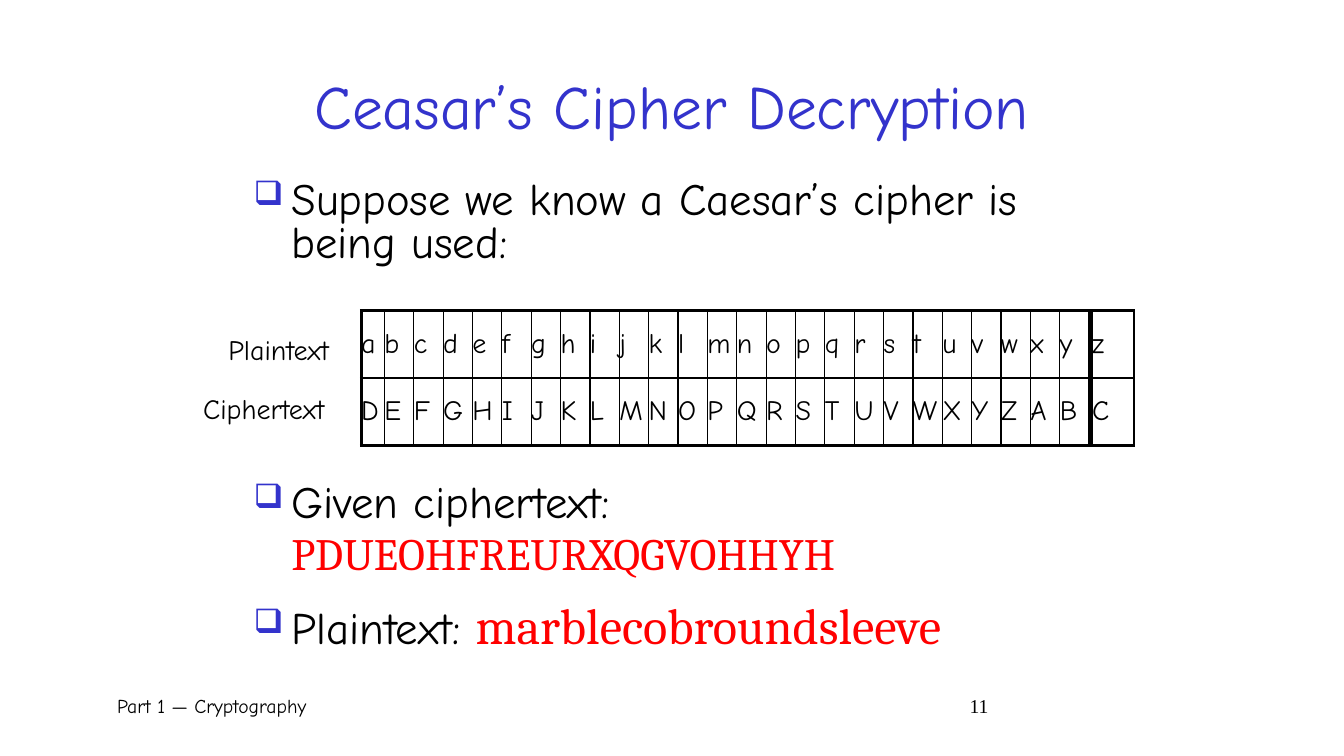
from dataclasses import dataclass

from lxml.etree import SubElement
from pptx import Presentation
from pptx.dml.color import RGBColor
from pptx.enum.text import MSO_ANCHOR as Anchor, PP_ALIGN as Align
from pptx.oxml.ns import qn
from pptx.util import Pt

BLACK, BLUE, RED = "000000", "3333CC", "FF0000"
COMIC, CAMBRIA, TIMES = "Comic Neue", "Cambria", "Times New Roman"
THIN, THICK = 1, 2.25
HANG = 27


@dataclass
class Span:
    text: str
    size: float
    font: str = COMIC
    color: str = BLACK


@dataclass
class Line:
    spans: list[Span]
    before: float = 0
    spacing: float = 1
    indent: float = 0
    bullet: bool = False
    tab: float = 0


@dataclass
class TextBlock:
    left: float
    top: float
    width: float
    height: float
    lines: list[Line]
    inset: float = 7.2


@dataclass
class LetterGrid:
    left: float
    widths: list[float]
    rows: list[str]


def set_font(font, span: Span) -> None:
    font.name, font.size = span.font, Pt(span.size)
    font.color.rgb = RGBColor.from_string(span.color)


def fill_paragraph(paragraph, line: Line) -> None:
    paragraph.line_spacing = line.spacing
    paragraph.space_before = Pt(line.before)
    properties = paragraph._p.get_or_add_pPr()
    if line.indent:
        properties.set("marL", str(Pt(line.indent)))
        properties.set("indent", str(-Pt(line.indent) if line.bullet else 0))
    if line.bullet:
        color = SubElement(properties, qn("a:buClr"))
        SubElement(color, qn("a:srgbClr"), val=BLUE)
        SubElement(properties, qn("a:buSzPct"), val="75000")
        SubElement(properties, qn("a:buChar"), char="❑")
    if line.tab:
        tabs = SubElement(properties, qn("a:tabLst"))
        SubElement(tabs, qn("a:tab"), pos=str(Pt(line.tab)), algn="l")
    if len(line.spans) == 1:
        set_font(paragraph.font, line.spans[0])
    for span in line.spans:
        run = paragraph.add_run()
        run.text = span.text
        if len(line.spans) > 1:
            set_font(run.font, span)


def draw_text(slide, block: TextBlock) -> None:
    shape = slide.shapes.add_textbox(
        Pt(block.left), Pt(block.top), Pt(block.width), Pt(block.height))
    frame = shape.text_frame
    frame.word_wrap = True
    frame.margin_left = Pt(block.inset)
    for index, line in enumerate(block.lines):
        paragraph = frame.add_paragraph() if index else frame.paragraphs[0]
        fill_paragraph(paragraph, line)


def set_border(cell, side: str, weight: float) -> None:
    border = SubElement(cell._tc.get_or_add_tcPr(), qn(f"a:ln{side}"), w=str(Pt(weight)))
    SubElement(SubElement(border, qn("a:solidFill")), qn("a:srgbClr"), val=BLACK)


def draw_grid(slide, grid: LetterGrid) -> None:
    row_count, column_count = len(grid.rows), len(grid.widths)
    table = slide.shapes.add_table(
        row_count, column_count, Pt(grid.left), Pt(222),
        Pt(sum(grid.widths)), Pt(48 * row_count)).table
    table.first_row = table.horz_banding = False
    for column, width in zip(table.columns, grid.widths):
        column.width = Pt(width)
    for row, letters in enumerate(grid.rows):
        for column, letter in enumerate(letters):
            cell = table.cell(row, column)
            cell.margin_left = cell.margin_right = 0
            cell.margin_top = cell.margin_bottom = 0
            cell.vertical_anchor = Anchor.MIDDLE
            fill_paragraph(cell.text_frame.paragraphs[0],
                           Line([Span(letter, 20)], before=4))
            # Heavy outline, thin inner lines
            outer = {"L": column == 0, "R": column == column_count - 1,
                     "T": row == 0, "B": row == row_count - 1}
            for side, is_outer in outer.items():
                set_border(cell, side, THICK if is_outer else THIN)
            cell.fill.background()


presentation = Presentation()
presentation.slide_width, presentation.slide_height = Pt(960), Pt(540)
slide = presentation.slides.add_slide(presentation.slide_layouts[5])

# Title
title = slide.shapes.title
title.left, title.top, title.width, title.height = Pt(162), Pt(36), Pt(636), Pt(78)
title.text_frame.vertical_anchor = Anchor.MIDDLE
heading = title.text_frame.paragraphs[0]
heading.alignment = Align.CENTER
fill_paragraph(heading, Line([Span("Ceasar’s Cipher Decryption", 44, color=BLUE)]))

# Substitution alphabet, with the last letter in a table of its own
SHIFT = 3
plain = "abcdefghijklmnopqrstuvwxyz"
cipher = (plain[SHIFT:] + plain[:SHIFT]).upper()
draw_grid(slide, LetterGrid(258, [16.56] + [21] * 24, [plain[:-1], cipher[:-1]]))
draw_grid(slide, LetterGrid(780, [30], [plain[-1], cipher[-1]]))

# Message and its encryption
message = "marblecobroundsleeve"
encrypted = message.translate(str.maketrans(plain, cipher))

# Row labels, bullets and footer
blocks = [
    TextBlock(156, 234, 99, 32, [Line([Span("Plaintext", 20)])]),
    TextBlock(138, 276, 117, 32, [Line([Span("Ciphertext", 20)])]),
    TextBlock(174, 126, 624, 276, [
        Line([Span("Suppose we know a Caesar’s cipher is being used:", 32)],
             6.4, 0.8, HANG, bullet=True),
        Line([Span("Given ciphertext:", 32)], 155, 0.8, HANG, bullet=True),
        Line([Span(encrypted, 32, CAMBRIA, RED)], 6.4, 0.8, HANG),
    ]),
    TextBlock(174, 426, 636, 66, [
        Line([Span("Plaintext: ", 32), Span(message, 36, CAMBRIA, RED)],
             6.4, 0.9, HANG, bullet=True),
    ]),
    TextBlock(72, 492, 824, 36, [
        Line([Span("Part 1 — Cryptography\t", 14), Span("11", 14, TIMES)], tab=609),
    ], inset=11.6),
]
for block in blocks:
    draw_text(slide, block)

presentation.save("out.pptx")
